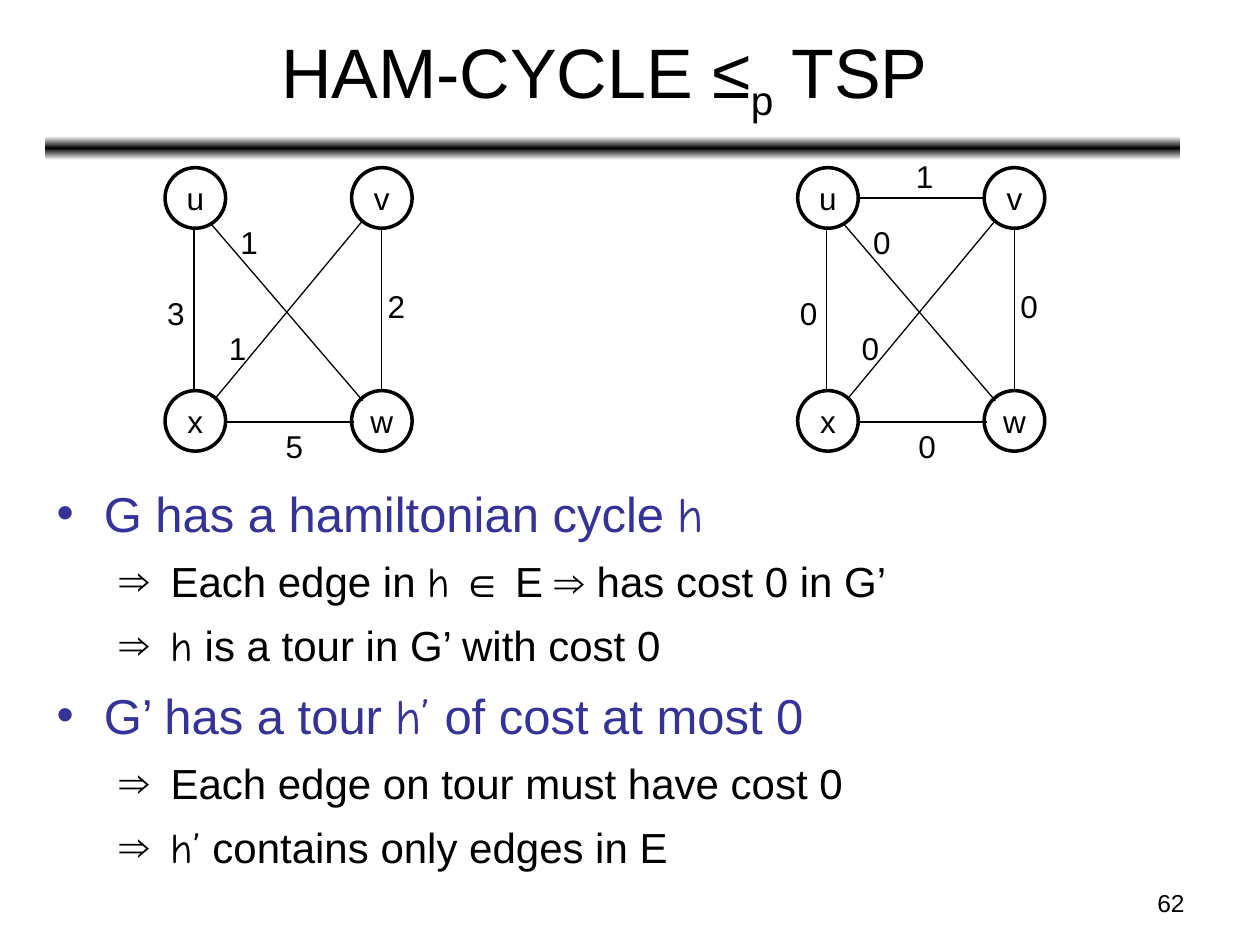
"""Build the slide that reduces HAM-CYCLE to TSP."""
from copy import deepcopy

from lxml.etree import SubElement
from pptx import Presentation
from pptx.dml.color import RGBColor
from pptx.enum.shapes import MSO_CONNECTOR, MSO_SHAPE
from pptx.enum.text import MSO_ANCHOR, MSO_AUTO_SIZE, PP_ALIGN
from pptx.oxml.ns import qn
from pptx.util import Pt

INK = {"black": "000000", "white": "FFFFFF", "blue": "333399"}
SANS, HAND = "Arial", "Comic Neue"


def paint(name):
    return RGBColor.from_string(INK[name])


def style(run, size, color="black", face=SANS):
    run.font.size = Pt(size)
    run.font.name = face
    run.font.color.rgb = paint(color)


deck = Presentation()
deck.slide_width, deck.slide_height = Pt(720), Pt(540)
slide = deck.slides.add_slide(deck.slide_layouts[5])

title = slide.shapes.title
title.left, title.top, title.width, title.height = Pt(26.6), Pt(7.9), Pt(648), Pt(71.3)
title.text_frame.vertical_anchor = MSO_ANCHOR.MIDDLE
head = title.text_frame.paragraphs[0]
head.alignment = PP_ALIGN.CENTER
for text in ("HAM-CYCLE ≤", "p", " TSP "):
    run = head.add_run()
    run.text = text
    style(run, 40)
head.runs[1].font._element.set("baseline", "-25000")

bar = slide.shapes.add_shape(MSO_SHAPE.ROUNDED_RECTANGLE, Pt(25.9), Pt(77.8), Pt(648.7), Pt(13.7))
bar.shadow.inherit = False
bar.line.fill.background()
bar.fill.gradient()
bar.fill.gradient_angle = 90
stops = bar._element.spPr.find(qn("a:gradFill")).find(qn("a:gsLst"))
stops.append(deepcopy(stops[0]))
for stop, place, color in zip(bar.fill.gradient_stops, (0, 0.5, 1), ("white", "black", "white")):
    stop.position = place
    stop.color.rgb = paint(color)

page = slide.shapes.add_textbox(Pt(516.2), Pt(504), Pt(167.8), Pt(25.2)).text_frame
page.word_wrap = True
page.text = "62"
page.paragraphs[0].alignment = PP_ALIGN.RIGHT
style(page.paragraphs[0].runs[0], 14)

points = [
    (0, [("G has a hamiltonian cycle ", SANS), ("h", HAND)]),
    (1, [(" Each edge in ", SANS), ("h", HAND), (" ∈ E ⇒ has cost 0 in G’", SANS)]),
    (1, [(" ", SANS), ("h", HAND), (" is a tour in G’ with cost 0", SANS)]),
    (0, [("G’ has a tour ", SANS), ("h’", HAND), (" of cost at most 0", SANS)]),
    (1, [(" Each edge on tour must have cost 0", SANS)]),
    (1, [(" ", SANS), ("h’", HAND), (" contains only edges in E", SANS)]),
]
looks = [("•", 28, "blue", 27, -27, 5.6), ("⇒", 24, "black", 58.5, -22.5, 4.8)]
body = slide.shapes.add_textbox(Pt(25.2), Pt(269.3), Pt(677.5), Pt(252.7)).text_frame
body.word_wrap = True
for row, (level, parts) in enumerate(points):
    mark, size, color, left, hang, gap = looks[level]
    para = body.add_paragraph() if row else body.paragraphs[0]
    para.level = level
    props = para._p.get_or_add_pPr()
    props.set("marL", str(Pt(left)))
    props.set("indent", str(Pt(hang)))
    tint = SubElement(props, qn("a:buClr"))
    SubElement(tint, qn("a:srgbClr")).set("val", INK[color])
    SubElement(props, qn("a:buFont")).set("typeface", SANS)
    SubElement(props, qn("a:buChar")).set("char", mark)
    para.line_spacing = 1.1
    para.space_before = Pt(gap if row else 0)
    for text, face in parts:
        run = para.add_run()
        run.text = text
        style(run, size, color, face)

nodes = [("u", 0, 0), ("v", 106.6, 0), ("x", 0, 127.4), ("w", 106.6, 127.4)]
edges = {
    "uv": (34.2, 17.3, 107.5, 17.3),
    "xw": (34.6, 145.4, 108, 145.4),
    "ux": (16.6, 33.8, 16.6, 127.4),
    "vw": (123.8, 33.8, 123.8, 127.4),
    "uw": (25.9, 31.7, 113, 133.2),
    "vx": (113, 30.2, 28.8, 131.8),
}
spots = {"uv": (60.5, -9.4), "xw": (61.9, 144.7), "ux": (-5.8, 68.4),
         "vw": (120.2, 64.8), "vx": (29.5, 88.5), "uw": (36, 28)}
graphs = [
    (94.3, slide.shapes, {"xw": 5, "ux": 3, "vw": 2, "vx": 1, "uw": 1}),
    (455.8, slide.shapes.add_group_shape().shapes,
     {"uv": 1, "xw": 0, "ux": 0, "vw": 0, "vx": 0, "uw": 0}),
]
top = 95.8
for left, shapes, costs in graphs:
    for name, x, y in nodes:
        node = shapes.add_shape(MSO_SHAPE.OVAL, Pt(left + x), Pt(top + y), Pt(34.6), Pt(34.6))
        node.shadow.inherit = False
        node.fill.solid()
        node.fill.fore_color.rgb = paint("white")
        node.line.color.rgb = paint("black")
        node.line.width = Pt(2)
        frame = node.text_frame
        frame.word_wrap = False
        frame.vertical_anchor = MSO_ANCHOR.MIDDLE
        frame.text = name
        frame.paragraphs[0].alignment = PP_ALIGN.CENTER
        style(frame.paragraphs[0].runs[0], 18)
    for edge in costs:
        x1, y1, x2, y2 = edges[edge]
        line = shapes.add_connector(MSO_CONNECTOR.STRAIGHT, Pt(left + x1), Pt(top + y1),
                                    Pt(left + x2), Pt(top + y2))
        line.line.color.rgb = paint("black")
        line.line.width = Pt(0.75)
        SubElement(line._element.spPr, qn("a:effectLst"))
    for edge, cost in costs.items():
        x, y = spots[edge]
        frame = shapes.add_textbox(Pt(left + x), Pt(top + y), Pt(24.5), Pt(28.8)).text_frame
        frame.word_wrap = False
        frame.auto_size = MSO_AUTO_SIZE.SHAPE_TO_FIT_TEXT
        frame.text = str(cost)
        style(frame.paragraphs[0].runs[0], 18)

deck.save("out.pptx")
